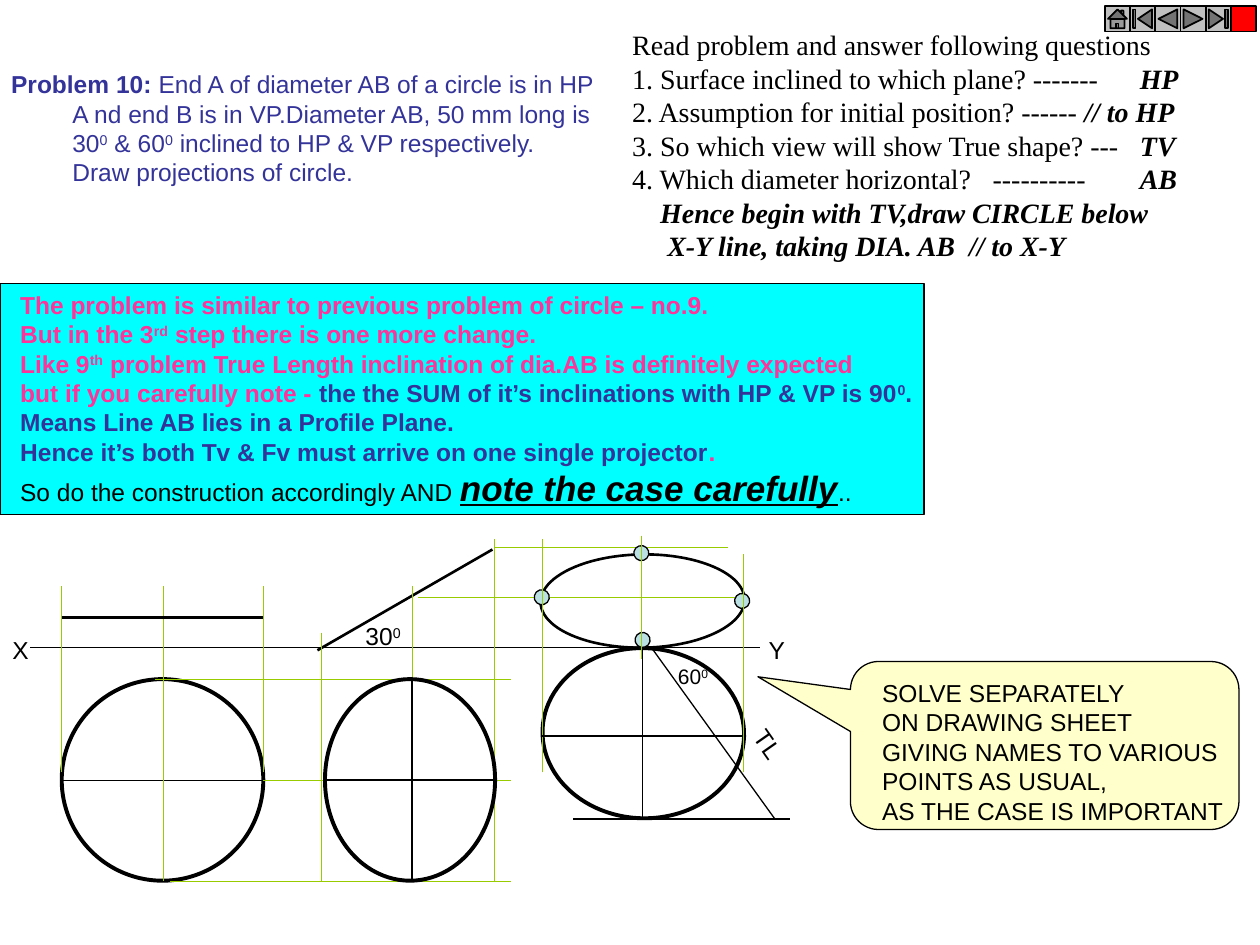
from dataclasses import dataclass
from lxml.etree import SubElement
from pptx import Presentation
from pptx.dml.color import RGBColor
from pptx.enum.shapes import MSO_CONNECTOR, MSO_SHAPE
from pptx.enum.text import MSO_ANCHOR, MSO_AUTO_SIZE, PP_ALIGN
from pptx.oxml.ns import qn
from pptx.util import Pt


@dataclass(frozen=True)
class Theme:
    """Colours, fonts and type sizes of the slide."""
    black: RGBColor = RGBColor(0, 0, 0)
    white: RGBColor = RGBColor(0xFF, 0xFF, 0xFF)
    navy: RGBColor = RGBColor(0x33, 0x33, 0x99)
    pink: RGBColor = RGBColor(0xFF, 0x33, 0x99)
    cyan: RGBColor = RGBColor(0, 0xFF, 0xFF)
    cream: RGBColor = RGBColor(0xFF, 0xFF, 0xCC)
    green: RGBColor = RGBColor(0x99, 0xCC, 0)
    dot: RGBColor = RGBColor(0xBB, 0xE0, 0xE3)
    grey: RGBColor = RGBColor(0xC0, 0xC0, 0xC0)
    red: RGBColor = RGBColor(0xFF, 0, 0)
    sans: str = "Arial"
    serif: str = "Times New Roman"
    small: int = 12
    body: int = 14
    question: int = 16
    emphasis: int = 20


T = Theme()
SUP = {"sup": True}
BI = {"bold": True, "italic": True}


def write(sp, paras, inset=(7.2, 3.6, 7.2, 3.6), wrap=True, align=PP_ALIGN.LEFT,
          indents=(), tabs=(), **base):
    """Fill a shape with paragraphs, each a list of (text, format) runs."""
    tf = sp.text_frame
    frame = dict(zip(("margin_left", "margin_top", "margin_right", "margin_bottom"), map(Pt, inset)))
    frame |= {"word_wrap": wrap, "vertical_anchor": MSO_ANCHOR.TOP}
    for name, value in frame.items():
        setattr(tf, name, value)
    for i, runs in enumerate(paras):
        p = tf.add_paragraph() if i else tf.paragraphs[0]
        p.alignment = align
        pPr = p._p.get_or_add_pPr()
        if i < len(indents) and indents[i]:
            pPr.set("marL", str(Pt(indents[i])))
            pPr.set("indent", "0")
        if tabs:
            tab_list = SubElement(pPr, qn("a:tabLst"))
            for pos in tabs:
                SubElement(tab_list, qn("a:tab"), pos=str(Pt(pos)), algn="l")
        for text, extra in runs:
            r = p.add_run()
            r.text = text
            fmt = {"name": T.sans, "size": T.body, "color": T.black} | base | extra
            r.font.color.rgb = fmt.pop("color")
            fmt["size"] = Pt(fmt["size"])
            if fmt.pop("sup", False):
                r._r.get_or_add_rPr().set("baseline", "30000")
            for name, value in fmt.items():
                setattr(r.font, name, value)


def text_box(s, box, paras, rotation=0, wrap=False, **fmt):
    """Add a text box that grows with its text."""
    sp = s.shapes.add_textbox(*map(Pt, box))
    write(sp, paras, wrap=wrap, **fmt)
    sp.text_frame.auto_size = MSO_AUTO_SIZE.SHAPE_TO_FIT_TEXT
    sp.rotation = rotation


def shape(s, kind, box, fill=None, width=0.75, rotation=0):
    """Add a black-outlined preset shape."""
    sp = s.shapes.add_shape(kind, *map(Pt, box))
    sp.shadow.inherit = False
    sp.rotation = rotation
    if fill is None:
        sp.fill.background()
    else:
        sp.fill.solid()
        sp.fill.fore_color.rgb = fill
    sp.line.color.rgb = T.black
    sp.line.width = Pt(width)
    return sp


def lines(s, x, y, color, width, *segments):
    """Draw straight segments (x1, y1, x2, y2) measured from (x, y)."""
    for x1, y1, x2, y2 in segments:
        c = s.shapes.add_connector(MSO_CONNECTOR.STRAIGHT, Pt(x + x1), Pt(y + y1), Pt(x + x2), Pt(y + y2))
        c.line.color.rgb = color
        c.line.width = Pt(width)
        SubElement(c._element.spPr, qn("a:effectLst"))


def problem(s, box):
    """State the problem."""
    text_box(s, box, [
        [("Problem 10: ", {"bold": True}), ("End A of diameter AB of a circle is in HP", {})],
        [("A nd end B is in VP.Diameter AB, 50 mm long is", {})],
        [("30", {}), ("0", SUP), (" & 60", {}), ("0", SUP), (" inclined to HP & VP respectively.", {})],
        [("Draw projections of circle.", {})],
    ], indents=(0, 35, 35, 35), color=T.navy)


def questions(s, box):
    """List the questions with their answers."""
    text_box(s, box, [
        [("Read problem and answer following questions", {})],
        [("1. Surface inclined to which plane? -------\t", {}), ("HP", BI)],
        [("2. Assumption for initial position? ------ ", {}), ("// to HP", BI)],
        [("3. So which view will show True shape? ---\t", {}), ("TV", BI)],
        [("4. Which diameter horizontal?\t----------\t", {}), ("AB", BI)],
        [("Hence begin with TV,draw CIRCLE below", BI)],
        [("X-Y line, taking DIA. AB  // to X-Y", BI)],
    ], wrap=True, indents=(0, 0, 0, 0, 0, 16, 20), tabs=(206, 290), name=T.serif, size=T.question)


def note(s, box):
    """Explain what is special about this case."""
    navy, plain = {"color": T.navy}, {"color": T.black, "bold": False}
    write(shape(s, MSO_SHAPE.RECTANGLE, box, T.cyan), [
        [("The problem is similar to previous problem of circle – no.9.", {})],
        [("But in the 3", {}), ("rd", SUP), (" step there is one more change.", {})],
        [("Like 9", {}), ("th", SUP), (" problem True Length inclination of dia.AB is definitely expected", {})],
        [("but if you carefully note - ", {}),
         ("the the SUM of it’s inclinations with HP & VP is 90", navy), ("0", navy | SUP), (".", navy)],
        [("Means Line AB lies in a Profile Plane.", navy)],
        [("Hence it’s both Tv & Fv must arrive on one single projector", navy), (".", {})],
        [("So do the construction accordingly AND ", plain),
         ("note the case carefully", BI | {"color": T.black, "size": T.emphasis, "underline": True}),
         ("..", plain)],
    ], inset=(11.5, 3.6, 0, 0), color=T.pink, bold=True)


def callout(s, box):
    """Tell the reader to solve the problem separately."""
    sp = shape(s, MSO_SHAPE.ROUNDED_RECTANGULAR_CALLOUT, box, T.cream)
    for i, value in enumerate((-0.738, -0.409, 0.167)):
        sp.adjustments[i] = value
    write(sp, [[(text, {})] for text in (
        "SOLVE SEPARATELY", "ON DRAWING SHEET", "GIVING NAMES TO VARIOUS",
        "POINTS AS USUAL,", "AS THE CASE IS IMPORTANT")], inset=(13.4, 4.8, 0, 0))


def reference_line(s, box):
    """Draw the X-Y line with a label at each end."""
    x, y, w, h = box
    lines(s, x, y, T.black, 0.75, (0, h / 2, w, h / 2))
    for label, left in (("X", x - 17.3), ("Y", x + w - 2)):
        text_box(s, (left, y + 1.5, 23.8, h), [[(label, {})]])


def initial_view(s, box):
    """Draw the circle in top view and its edge in front view."""
    x, y, w, h = box
    top, mid, cx = h - w, h - w / 2, 58.3
    shape(s, MSO_SHAPE.OVAL, (x, y + top, w, w), width=2.25)
    lines(s, x, y, T.black, 0.5, (0, mid, w, mid))
    lines(s, x, y, T.green, 0.5, (cx, 0, cx, h), (0, 106.6, 0, 0), (w, 106.6, w, 0))
    lines(s, x, y, T.black, 1.5, (0, 18, w, 18))


def tilted_view(s, box):
    """Draw the edge inclined to HP and the ellipse below it."""
    x, y, w, h = box
    top, mid, cx, left, right = 79.9, 137.5, 54, 4.3, 101.5
    lines(s, x, y, T.black, 1.5, (0, 63.4, 100, 5.8))
    lines(s, x, y, T.green, 0.25, (w, 0, w, h), (cx, 26.6, cx, h), (2.2, 53.3, 2.2, h),
          (-92.9, top, 110.9, top), (-31, mid, 110.9, mid), (-84.2, h, 110.9, h))
    shape(s, MSO_SHAPE.OVAL, (x + left, y + top, right - left, h - top), width=2.25)
    lines(s, x, y, T.black, 0.75, (cx, top, cx, h), (left, mid, right, mid))
    text_box(s, (x + 20.2, y + 43.2, 34.6, 24.5), [[("30", {}), ("0", SUP)]], align=PP_ALIGN.CENTER)


def final_view(s, box):
    """Draw both final ellipses, their projectors and the true length."""
    x, y, w, h = box
    shape(s, MSO_SHAPE.OVAL, (x - 0.7, y + 10.8, 116.6, 53.3), T.white, 1.5, 359.2)
    shape(s, MSO_SHAPE.OVAL, (x + 9.4, y + 55.4, 97.2, w), T.white, 2.25, 272.1)
    lines(s, x, y, T.green, 0.25, (-26.6, 6.5, 106.6, 6.5), (-70.6, 35.3, w, 35.3))
    for dx, dy in ((-4.3, 31), (53.3, 55.4), (110.2, 33.1), (52.6, 5.8)):
        shape(s, MSO_SHAPE.OVAL, (x + dx, y + dy, 8.6, 8.6), T.dot, rotation=12.2)
    lines(s, x, y, T.green, 0.25, (0, 135.4, 0, 2.2), (w, 135.4, w, 10.8))
    lines(s, x, y, T.black, 0.75, (0, 114.5, w, 114.5), (w / 2, 64, w / 2, h),
          (62.6, 64, 133.2, h), (141.8, h, 18, h))
    lines(s, x, y, T.green, 0.75, (56.9, 0, 56.9, 70.6))
    text_box(s, (x + 113.8, y + 107.3, 31, 24.5), [[("TL", {})]], rotation=55)
    text_box(s, (x + 70.6, y + 69.8, 31.7, 21.6), [[("60", {}), ("0", SUP)]],
             align=PP_ALIGN.CENTER, size=T.small)


def navigation(s, box):
    """Line up the navigation buttons in equal squares."""
    x, y, w, h = box
    kinds = ("HOME", "BEGINNING", "BACK_OR_PREVIOUS", "FORWARD_OR_NEXT", "END", "CUSTOM")
    for i, kind in enumerate(kinds):
        fill = T.red if kind == "CUSTOM" else T.grey
        cell = (x + i * w / len(kinds), y, w / len(kinds), h)
        shape(s, MSO_SHAPE["ACTION_BUTTON_" + kind], cell, fill, 1)


def main():
    """Build and save the slide."""
    prs = Presentation()
    prs.slide_width, prs.slide_height = Pt(720), Pt(540)
    s = prs.slides.add_slide(prs.slide_layouts[6])
    problem(s, (-0.7, 36, 352.8, 74.9))
    note(s, (0, 162, 528, 132))
    callout(s, (486, 378, 222, 96))
    reference_line(s, (17.3, 357.8, 416.9, 24.5))
    initial_view(s, (35.3, 334.8, 115.2, 168.5))
    tilted_view(s, (181.4, 308.2, 100.8, 195.1))
    final_view(s, (309.6, 306, 115.2, 162))
    questions(s, (354.2, 12.2, 342, 141.8))
    navigation(s, (631.4, 3.6, 86.4, 14.4))
    prs.save("out.pptx")


if __name__ == "__main__":
    main()
